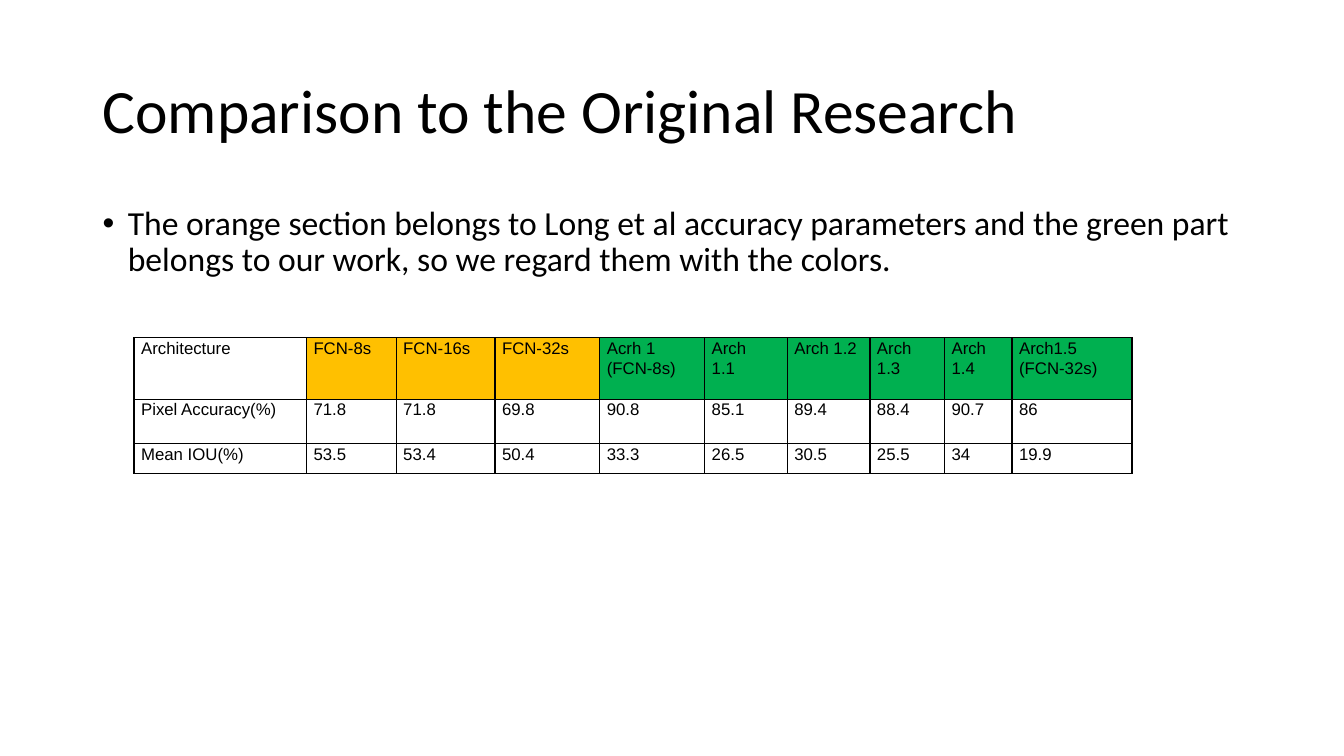
import lxml.etree
import pptx
import pptx.dml.color
import pptx.enum.text
import pptx.oxml
import pptx.oxml.ns
import pptx.util

COLORS = {"text": "000000", "border": "000000", "long": "FFC000", "ours": "00B050"}
inch = pptx.util.Inches
qn = pptx.oxml.ns.qn
rgb = pptx.dml.color.RGBColor.from_string
ALIGN = pptx.enum.text.PP_ALIGN
ANCHOR = pptx.enum.text.MSO_ANCHOR


def write(tf, text, size=12, font="Arial", spacing=1.0, before=0, align=ALIGN.LEFT):
    """Fill a text frame, one paragraph for each line of text."""
    tf.word_wrap = True
    for i, line in enumerate(text.split("\n")):
        p = tf.paragraphs[0] if i == 0 else tf.add_paragraph()
        p.alignment, p.line_spacing = align, spacing
        p.space_before = pptx.util.Pt(before)
        r = p.add_run()
        r.text = line
        r.font.size, r.font.name = pptx.util.Pt(size), font
        r.font.color.rgb = rgb(COLORS["text"])


prs = pptx.Presentation()
prs.slide_width, prs.slide_height = inch(13.33), inch(7.5)
s = prs.slides.add_slide(prs.slide_layouts[6])
left, width = inch(0.92), inch(11.5)

# Title
tf = s.shapes.add_textbox(left, inch(0.4), width, inch(1.45)).text_frame
tf.vertical_anchor = ANCHOR.MIDDLE
write(tf, "Comparison to the Original Research", size=44, font="Calibri", spacing=0.9)

# Bulleted explanation
tf = s.shapes.add_textbox(left, inch(2), width, inch(4.76)).text_frame
write(tf, "The orange section belongs to Long et al accuracy parameters and the green part "
      "belongs to our work, so we regard them with the colors.",
      size=24, font="Calibri", spacing=0.9, before=10)
pPr = tf.paragraphs[0]._p.get_or_add_pPr()
pPr.set("marL", str(inch(0.25)))
pPr.set("indent", str(-inch(0.25)))
lxml.etree.SubElement(pPr, qn("a:buFont"), typeface="Arial")
lxml.etree.SubElement(pPr, qn("a:buChar"), char="•")

# Accuracy table
rows = [
    ["Architecture", "FCN-8s", "FCN-16s", "FCN-32s", "Acrh 1\n(FCN-8s)", "Arch\n1.1",
     "Arch 1.2", "Arch 1.3", "Arch 1.4", "Arch1.5\n(FCN-32s)"],
    ["Pixel Accuracy(%)", "71.8", "71.8", "69.8", "90.8", "85.1", "89.4", "88.4", "90.7", "86"],
    ["Mean IOU(%)", "53.5", "53.4", "50.4", "33.3", "26.5", "30.5", "25.5", "34", "19.9"],
]
col_widths = [1.71, 0.89, 0.98, 1.04, 1.04, 0.82, 0.82, 0.74, 0.67, 1.19]
row_heights = [0.61, 0.44, 0.3]
header_fills = [None] + ["long"] * 3 + ["ours"] * 6

table = s.shapes.add_table(len(rows), len(col_widths), inch(1.33), inch(3.35),
                           inch(sum(col_widths)), inch(sum(row_heights))).table
table.first_row = table.horz_banding = False
for column, w in zip(table.columns, col_widths):
    column.width = inch(w)
for row, h in zip(table.rows, row_heights):
    row.height = inch(h)

for i, texts in enumerate(rows):
    for j, text in enumerate(texts):
        cell = table.cell(i, j)
        cell.margin_left = cell.margin_right = inch(0.07)
        cell.margin_top = cell.margin_bottom = 0
        write(cell.text_frame, text, spacing=1.07, align=ALIGN.JUSTIFY)

        # Borders come before the fill in the cell properties
        tcPr = cell._tc.get_or_add_tcPr()
        for side in ("lnL", "lnR", "lnT", "lnB"):
            ln = lxml.etree.SubElement(tcPr, qn("a:" + side), w=str(pptx.util.Pt(1)))
            fill = lxml.etree.SubElement(ln, qn("a:solidFill"))
            lxml.etree.SubElement(fill, qn("a:srgbClr"), val=COLORS["border"])
        if i == 0 and header_fills[j]:
            cell.fill.solid()
            cell.fill.fore_color.rgb = rgb(COLORS[header_fills[j]])
        else:
            cell.fill.background()

prs.save("out.pptx")
